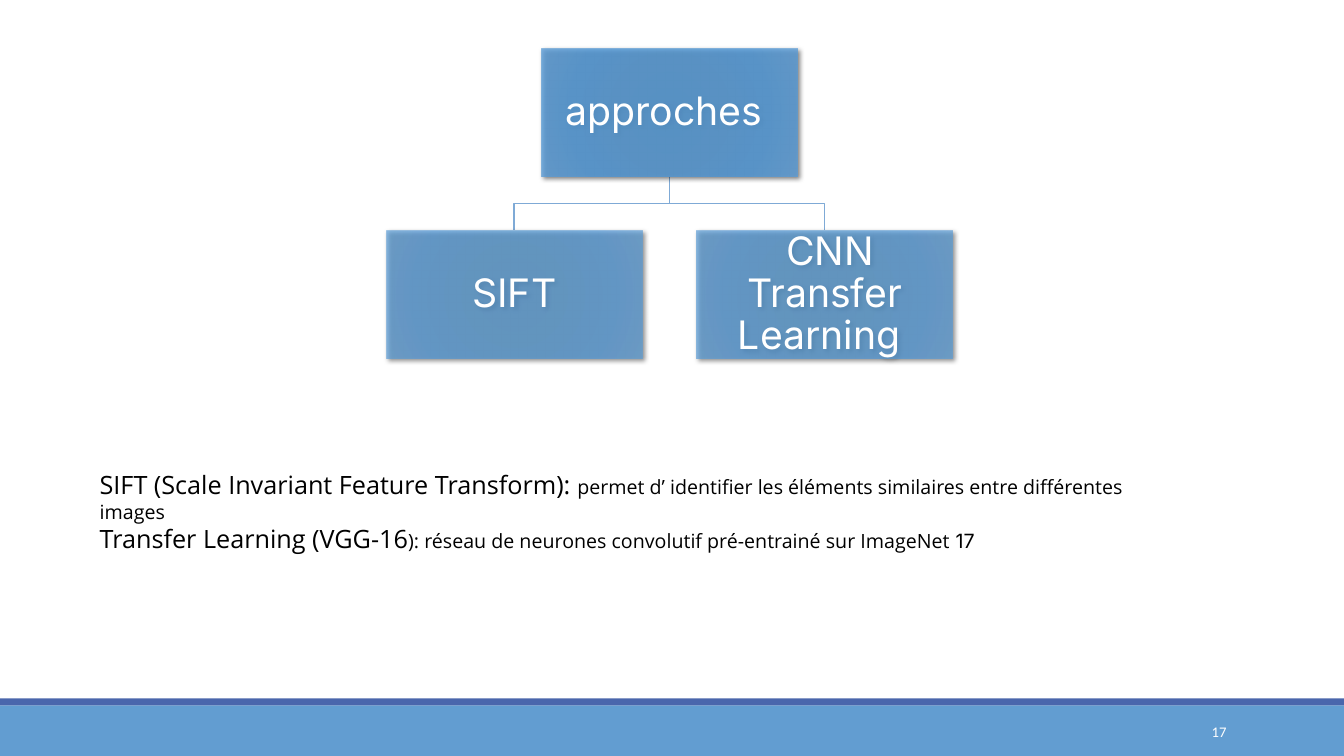
import dataclasses

import pptx
import pptx.dml.color
import pptx.enum.shapes
import pptx.enum.text
import pptx.oxml
import pptx.oxml.ns
import pptx.util

WIDTH, HEIGHT = 13.33, 7.5
ALIGN = pptx.enum.text.PP_ALIGN
ANCHOR = pptx.enum.text.MSO_ANCHOR
RECTANGLE = pptx.enum.shapes.MSO_SHAPE.RECTANGLE


@dataclasses.dataclass(frozen=True)
class Theme:
    """Colours, fonts and type sizes of the slide."""
    band: str = "629DD1"
    rule: str = "4A66AC"
    branch: str = "7FAAD6"
    light: str = "FFFFFF"
    ink: str = "000000"
    node_stops: tuple = ((0, "4C93D2"), (34, "4F95D2"), (70, "4E97D8"), (100, "5C9DD7"))
    node_font: str = "Inter"
    body_font: str = "Open Sans"
    number_font: str = "Calibri"
    node_size: float = 28
    term_size: float = 18
    body_size: float = 14
    number_size: float = 10.5


THEME = Theme()


@dataclasses.dataclass(frozen=True)
class Box:
    """A rectangle in inches."""
    left: float
    top: float
    width: float
    height: float

    def share(self, x, y, width, height):
        """Return the box at the given shares of this one."""
        return Box(self.left + x * self.width, self.top + y * self.height,
                   width * self.width, height * self.height)

    def emu(self):
        """Return left, top, width and height as lengths."""
        return [pptx.util.Inches(v) for v in dataclasses.astuple(self)]


def rgb(colour):
    """Return the colour object for a hex string."""
    return pptx.dml.color.RGBColor.from_string(colour)


def set_all(target, values):
    """Set every attribute named in values."""
    for name, value in values.items():
        setattr(target, name, value)


def add_runs(paragraph, runs):
    """Add (text, size, font, colour) runs to a paragraph."""
    for text, size, font, colour in runs:
        run = paragraph.add_run()
        run.text = text
        set_all(run.font, {"size": pptx.util.Pt(size), "name": font})
        run.font.color.rgb = rgb(colour)


def add_rectangle(slide, box, colour):
    """Draw a plain rectangle without outline or shadow."""
    rectangle = slide.shapes.add_shape(RECTANGLE, *box.emu())
    rectangle.shadow.inherit = False
    rectangle.fill.solid()
    rectangle.fill.fore_color.rgb = rgb(colour)
    rectangle.line.fill.background()
    return rectangle


def add_text(slide, box, runs, align=ALIGN.LEFT, anchor=ANCHOR.TOP):
    """Place one wrapped paragraph in a text box."""
    frame = slide.shapes.add_textbox(*box.emu()).text_frame
    set_all(frame, {"word_wrap": True, "vertical_anchor": anchor})
    frame.paragraphs[0].alignment = align
    add_runs(frame.paragraphs[0], runs)


def style_node(node, opacity):
    """Give a node its translucent radial gradient and soft shadow."""
    namespace = pptx.oxml.ns.nsdecls("a")
    stops = "".join(
        f'<a:gs pos="{pos * 1000}"><a:srgbClr val="{colour}">'
        f'<a:alpha val="{opacity * 1000}"/></a:srgbClr></a:gs>'
        for pos, colour in THEME.node_stops)
    gradient = pptx.oxml.parse_xml(
        f'<a:gradFill {namespace} rotWithShape="1"><a:gsLst>{stops}</a:gsLst><a:path path="circle">'
        '<a:fillToRect l="100000" t="100000" r="100000" b="100000"/></a:path></a:gradFill>')
    shadow = pptx.oxml.parse_xml(
        f'<a:outerShdw {namespace} blurRad="{pptx.util.Pt(3.5)}" dist="{pptx.util.Pt(2)}" '
        f'dir="2700000" rotWithShape="0"><a:srgbClr val="{THEME.ink}">'
        '<a:alpha val="60000"/></a:srgbClr></a:outerShdw>')
    properties = node.element.spPr
    properties.replace(properties.find(pptx.oxml.ns.qn("a:solidFill")), gradient)
    properties.find(pptx.oxml.ns.qn("a:effectLst")).append(shadow)


def add_node(slide, box, label, opacity):
    """Draw one labelled node of the tree."""
    node = add_rectangle(slide, box, THEME.band)
    style_node(node, opacity)
    inset = pptx.util.Inches(0.02)
    set_all(node.text_frame, {
        "word_wrap": True, "vertical_anchor": ANCHOR.MIDDLE, "margin_left": inset,
        "margin_right": inset, "margin_top": inset, "margin_bottom": inset})
    paragraph = node.text_frame.paragraphs[0]
    set_all(paragraph, {"alignment": ALIGN.CENTER, "line_spacing": 0.9})
    add_runs(paragraph, [(label, THEME.node_size, THEME.node_font, THEME.light)])


def add_branch(slide, parent, child):
    """Draw the stepped line from a parent's foot to a child's head."""
    start_x, end_x = (b.left + b.width / 2 for b in (parent, child))
    start_y, end_y = parent.top + parent.height, child.top
    middle_y = (start_y + end_y) / 2
    points = [(pptx.util.Inches(x), pptx.util.Inches(y)) for x, y in (
        (start_x, start_y), (start_x, middle_y), (end_x, middle_y), (end_x, end_y))]
    builder = slide.shapes.build_freeform(*points[0])
    builder.add_line_segments(points[1:], close=False)
    branch = builder.convert_to_shape()
    branch.shadow.inherit = False
    branch.fill.background()
    branch.line.color.rgb = rgb(THEME.branch)
    branch.line.width = pptx.util.Pt(1.25)


def add_tree(slide, box, root, leaves):
    """Draw a root above a row of leaves, with equal gaps across and down."""
    gap_share = 0.21
    node_width = 1 / (len(leaves) + gap_share * (len(leaves) - 1))
    gap = gap_share * node_width * box.width
    node_height = (box.height - gap) / 2 / box.height
    root_box = box.share((1 - node_width) / 2, 0, node_width, node_height)
    leaf_boxes = [box.share(i * node_width * (1 + gap_share), 1 - node_height,
                            node_width, node_height) for i in range(len(leaves))]
    for leaf_box in reversed(leaf_boxes):
        add_branch(slide, root_box, leaf_box)
    add_node(slide, root_box, root, 80)
    for leaf_box, leaf in zip(leaf_boxes, leaves):
        add_node(slide, leaf_box, leaf, 70)


def add_definitions(slide, box):
    """Write the two definitions, each from a larger term and its meaning."""
    term = (THEME.term_size, THEME.body_font, THEME.ink)
    body = (THEME.body_size, THEME.body_font, THEME.ink)
    number = (THEME.body_size, THEME.node_font, THEME.ink)
    add_text(slide, box.share(0, 0, 0.93, 0.43), [
        ("SIFT (Scale Invariant Feature Transform): ", *term),
        ("permet d’ identifier les éléments similaires entre différentes images", *body)])
    add_text(slide, box.share(0, 0.57, 1, 0.43), [
        ("Transfer Learning (VGG-16", *term),
        ("): réseau de neurones convolutif pré-entrainé sur ImageNet ", *body),
        ("17", *number)])


def add_footer(slide, box, number):
    """Draw the rule, the band below it and the slide number."""
    rule_share = 0.12
    add_rectangle(slide, box.share(0, rule_share, 1, 1 - rule_share), THEME.band)
    add_rectangle(slide, box.share(0, 0, 1, rule_share), THEME.rule)
    add_text(slide, box.share(0.81, 0.23, 0.11, 0.7),
             [(number, THEME.number_size, THEME.number_font, THEME.light)],
             ALIGN.RIGHT, ANCHOR.MIDDLE)


def main():
    """Build the slide and save it."""
    deck = pptx.Presentation()
    set_all(deck, {"slide_width": pptx.util.Inches(WIDTH),
                   "slide_height": pptx.util.Inches(HEIGHT)})
    slide = deck.slides.add_slide(deck.slide_layouts[6])
    page = Box(0, 0, WIDTH, HEIGHT)
    add_footer(slide, page.share(0, 0.92, 1, 0.08).share(0, 0.05, 1, 0.95), "17")
    add_tree(slide, Box(3.83, 0.48, 5.62, 3.08), "approches ",
             ["SIFT", " CNN Transfer Learning "])
    add_definitions(slide, Box(0.89, 4.61, 11.14, 0.93))
    deck.save("out.pptx")


main()
